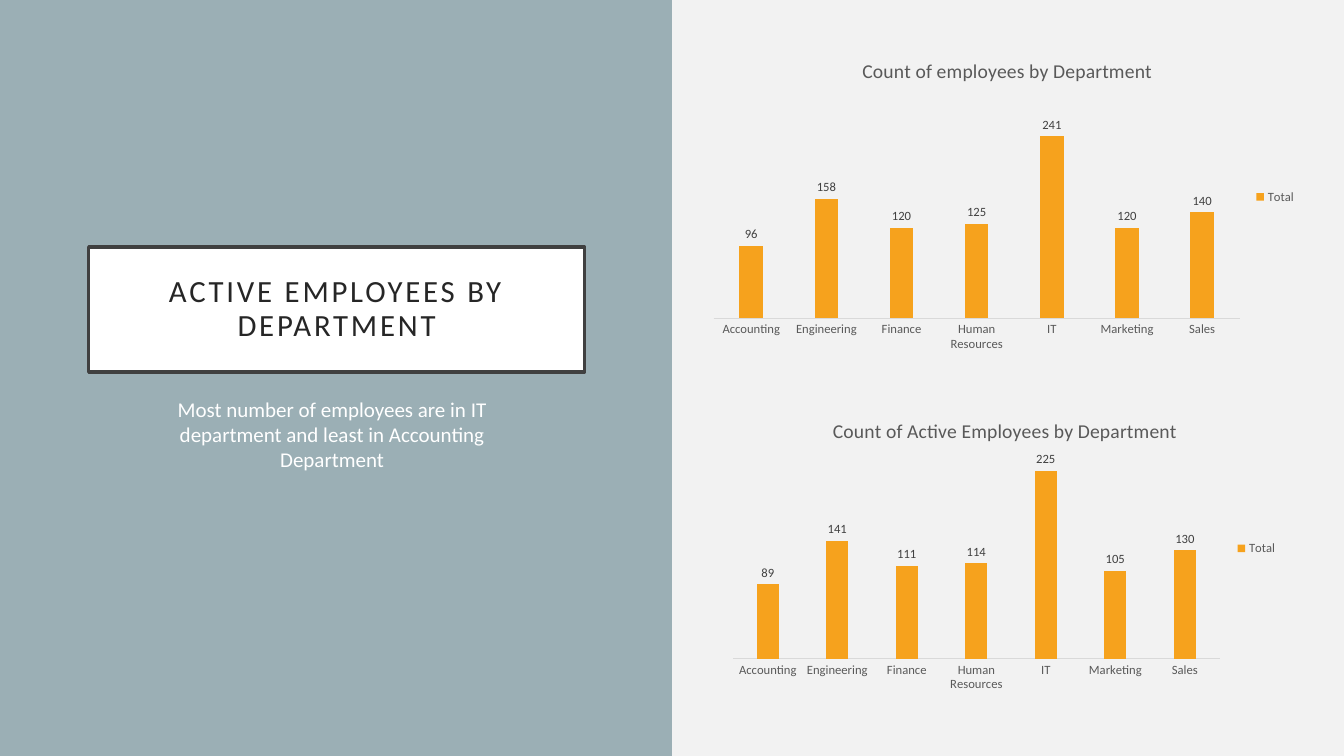
from collections import namedtuple

from lxml import etree
from pptx import Presentation
from pptx.chart.data import CategoryChartData
from pptx.dml.color import RGBColor
from pptx.enum.chart import XL_CHART_TYPE as ChartType
from pptx.enum.chart import XL_LABEL_POSITION as LabelPosition
from pptx.enum.chart import XL_LEGEND_POSITION as LegendPosition
from pptx.enum.chart import XL_TICK_MARK as TickMark
from pptx.enum.shapes import MSO_SHAPE as Preset
from pptx.enum.text import MSO_ANCHOR as Anchor
from pptx.enum.text import PP_ALIGN as Align
from pptx.oxml.ns import qn
from pptx.util import Inches, Pt

PALE = RGBColor(0xF2, 0xF2, 0xF2)
SLATE = RGBColor(0x9B, 0xAF, 0xB5)
WHITE = RGBColor(0xFF, 0xFF, 0xFF)
BLACK = RGBColor(0x00, 0x00, 0x00)
INK = RGBColor(0x26, 0x26, 0x26)
CHARCOAL = RGBColor(0x40, 0x40, 0x40)
GRAY = RGBColor(0x59, 0x59, 0x59)
AXIS_GRAY = RGBColor(0xD9, 0xD9, 0xD9)
ORANGE = RGBColor(0xF6, 0xA2, 0x1D)
FONT = "Calibri"

DEPARTMENTS = ["Accounting", "Engineering", "Finance", "Human Resources",
               "IT", "Marketing", "Sales"]

Box = namedtuple("Box", "left top width height")


def part(box, left, top, width, height):
    """Return the box inside another one, given in percent of it."""
    return Box(int(box.left + box.width * left / 100),
               int(box.top + box.height * top / 100),
               int(box.width * width / 100),
               int(box.height * height / 100))


def style_font(font, size, color):
    font.name, font.size, font.bold = FONT, Pt(size), False
    font.color.rgb = color


def add_text(frame, text, *, size, color, inset=None, anchor=Anchor.TOP,
             line_spacing=None, letter_spacing=None):
    frame.word_wrap = True
    frame.vertical_anchor = anchor
    if inset is not None:
        frame.margin_left = frame.margin_right = Inches(inset)
        frame.margin_top = frame.margin_bottom = Inches(inset)
    para = frame.paragraphs[0]
    para.alignment = Align.CENTER
    if line_spacing:
        para.line_spacing = line_spacing
    span = para.add_run()
    span.text = text
    style_font(span.font, size, color)
    if letter_spacing:
        span.font._element.set("spc", str(letter_spacing * 100))


def add_rectangle(page, box, fill, line=None, line_width=0):
    shape = page.shapes.add_shape(Preset.RECTANGLE, *box)
    shape.shadow.inherit = False
    shape.fill.solid()
    shape.fill.fore_color.rgb = fill
    if line is None:
        shape.line.fill.background()
    else:
        shape.line.color.rgb = line
        shape.line.width = Pt(line_width)
    return shape


def set_layout(element, index, inner=False, **shares):
    """Fix the place of a chart part in shares of the chart."""
    for old in element.findall(qn("c:layout")):
        element.remove(old)
    layout = etree.Element(qn("c:layout"))
    element.insert(index, layout)
    manual = etree.SubElement(layout, qn("c:manualLayout"))
    if inner:
        etree.SubElement(manual, qn("c:layoutTarget")).set("val", "inner")
    for name in ("x", "y"):
        etree.SubElement(manual, qn(f"c:{name}Mode")).set("val", "edge")
    for name, value in shares.items():
        etree.SubElement(manual, qn(f"c:{name}")).set("val", str(value))


def add_department_chart(page, box, title, counts, maximum, title_left, plot_size):
    data = CategoryChartData()
    data.categories = DEPARTMENTS
    data.add_series("Total", counts)
    chart = page.shapes.add_chart(ChartType.COLUMN_CLUSTERED, *box, data).chart
    style_font(chart.font, 10, BLACK)

    chart.has_title = True
    heading = chart.chart_title
    add_text(heading.text_frame, title, size=14, color=GRAY)
    set_layout(heading._element, 1, x=title_left, y=0.05)
    width, height = plot_size
    set_layout(chart._chartSpace.chart.plotArea, 0, inner=True,
               x=0.02, y=0.17, w=width, h=height)

    chart.has_legend = True
    chart.legend.position = LegendPosition.RIGHT
    chart.legend.include_in_layout = False
    style_font(chart.legend.font, 9, GRAY)

    axis = chart.category_axis
    axis.major_tick_mark = axis.minor_tick_mark = TickMark.NONE
    axis.format.line.color.rgb = AXIS_GRAY
    axis.format.line.width = Pt(0.75)
    style_font(axis.tick_labels.font, 9, GRAY)
    scale = chart.value_axis
    scale.visible = scale.has_major_gridlines = False
    scale.minimum_scale, scale.maximum_scale = 0, maximum

    plot = chart.plots[0]
    plot.vary_by_categories = False
    plot.gap_width, plot.overlap = 219, -27
    series = plot.series[0]
    series.format.fill.solid()
    series.format.fill.fore_color.rgb = ORANGE
    labels = series.data_labels
    labels.show_value = True
    labels.position = LabelPosition.OUTSIDE_END
    style_font(labels.font, 9, CHARCOAL)


def add_message_panel(page, box):
    add_rectangle(page, box, SLATE)
    title = add_rectangle(page, part(box, 13.2, 32.67, 73.8, 16.53),
                          WHITE, CHARCOAL, 2.5)
    add_text(title.text_frame, "ACTIVE EMPLOYEES BY DEPARTMENT", size=22,
             color=INK, inset=0.2, anchor=Anchor.MIDDLE, line_spacing=0.9,
             letter_spacing=2)
    body = page.shapes.add_textbox(*part(box, 18.3, 51.73, 62.25, 32))
    add_text(body.text_frame,
             "Most number of employees are in IT department and least in "
             "Accounting Department", size=15, color=WHITE)


def add_chart_panel(page, box):
    add_department_chart(page, part(box, 7.4, 52.8, 84.2, 39.47),
                         "Count of Active Employees by Department",
                         [89, 141, 111, 114, 225, 105, 130],
                         maximum=250, title_left=0.19, plot_size=(0.86, 0.7))
    add_department_chart(page, part(box, 4.4, 4.93, 90, 42.27),
                         "Count of employees by Department",
                         [96, 158, 120, 125, 241, 120, 140],
                         maximum=300, title_left=0.26, plot_size=(0.87, 0.71))


def main():
    deck = Presentation()
    deck.slide_width, deck.slide_height = Inches(13.33), Inches(7.5)
    page = deck.slides.add_slide(deck.slide_layouts[6])
    page.background.fill.solid()
    page.background.fill.fore_color.rgb = PALE
    whole = Box(0, 0, deck.slide_width, deck.slide_height)
    add_message_panel(page, part(whole, 0, 0, 50, 100))
    add_chart_panel(page, part(whole, 50, 0, 50, 100))
    deck.save("out.pptx")


if __name__ == "__main__":
    main()
